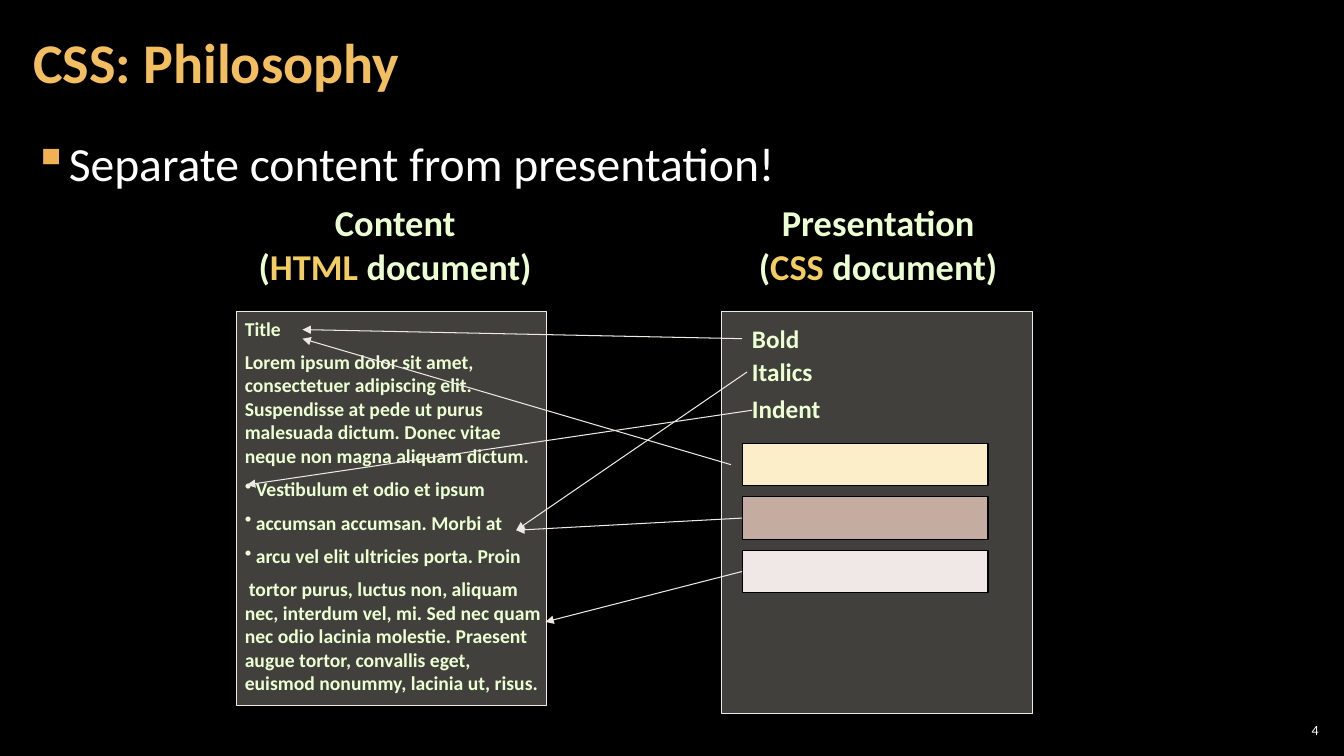
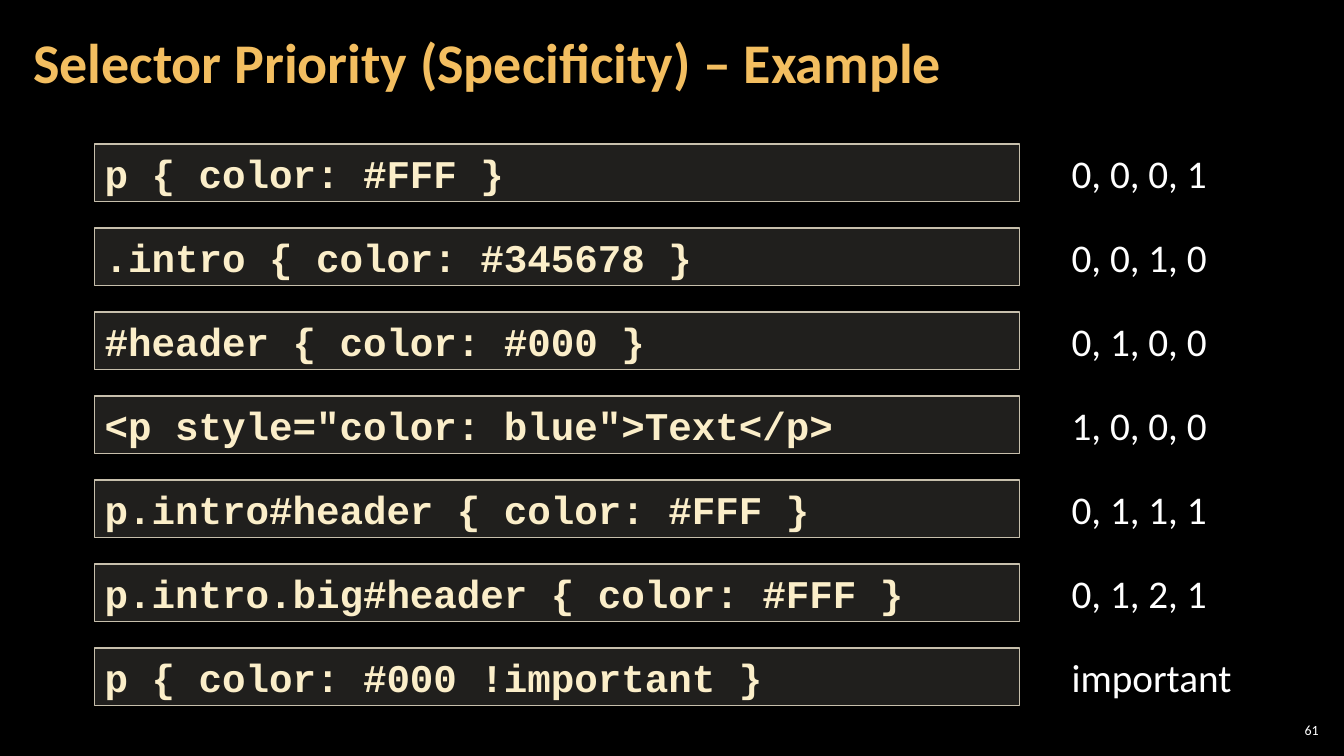
from lxml import etree
from pptx import Presentation
from pptx.dml.color import RGBColor
from pptx.enum.shapes import MSO_CONNECTOR as Conn, MSO_SHAPE as Shape
from pptx.enum.text import MSO_ANCHOR as Anchor, PP_ALIGN as Align
from pptx.oxml.ns import qn
from pptx.util import Inches, Pt

WIDE, HIGH = 13.33, 7.5
BACK, WHITE, GOLD, MARK = "000000", "FFFFFF", "F3BE60", "F2B254"
MINT, AMBER, SAND = "EBFFD2", "F3CD60", "D9D5C7"
EDGE, RIM, CREAM = "ECEAE3", "C7BFAC", "FBEEC9"
SANS, MONO = "Calibri", "Courier New"
THIN = (0.12, 0.04)

POINT = "Separate content from presentation!"
HEADS = [
    (2.45, 2.94, "Content", "HTML"),
    (7.4, 2.62, "Presentation", "CSS"),
]
CARDS = [(2.35, 3.09, 3.07, 3.91), (7.16, 3.09, 3.08, 3.99)]
PAGE = [
    ("Title", "plain"),
    ("Lorem ipsum dolor sit amet, consectetuer adipiscing elit. "
     "Suspendisse at pede ut purus malesuada dictum. "
     "Donec vitae neque non magna aliquam dictum.", "plain"),
    ("Vestibulum et odio et ipsum", "item"),
    ("accumsan accumsan. Morbi at", "item"),
    ("arcu vel elit ultricies porta. Proin", "item"),
    ("tortor purus, luctus non, aliquam nec, interdum vel, mi. "
     "Sed nec quam nec odio lacinia molestie. Praesent augue tortor, "
     "convallis eget, euismod nonummy, lacinia ut, risus.", "inset"),
]
INDENT = {"plain": (0, 0), "item": (0.11, -0.11), "inset": (0, 0.04)}
WORDS = [("Bold", 3.16), ("Italics", 3.49), ("Indent", 3.85)]
TINTS = [CREAM, "C4ADA0", "F0E8E6"]
LINKS = [
    ("Bold", (7.36, 3.36), (3, 3.27)),
    (None, (7.41, 3.69), (5.12, 5.26)),
    (None, (7.46, 4.07), (2.45, 4.81)),
    (TINTS[1], (7.36, 5.14), (5.12, 5.26)),
    (TINTS[2], (7.36, 5.67), (5.41, 6.17)),
    (None, (7.25, 4.61), (3, 3.36)),
]
RULES = [
    ("p { color: #FFF }", "0, 0, 0, 1"),
    (".intro { color: #345678 }", "0, 0, 1, 0"),
    ("#header { color: #000 }", "0, 1, 0, 0"),
    ('<p style="color: blue">Text</p>', "1, 0, 0, 0"),
    ("p.intro#header { color: #FFF }", "0, 1, 1, 1"),
    ("p.intro.big#header { color: #FFF }", "0, 1, 2, 1"),
    ("p { color: #000 !important }", "important"),
]


def color(code):
    return RGBColor.from_string(code)


def style(run, size, code, bold=False, face=SANS):
    font = run.font
    font.size, font.bold, font.name = Pt(size), bold, face
    font.color.rgb = color(code)


def indent(para, left, first, char=None, code=None):
    props = para._p.get_or_add_pPr()
    props.set("marL", str(Inches(left)))
    props.set("indent", str(Inches(first)))
    if code:
        tint = etree.SubElement(props, qn("a:buClr"))
        etree.SubElement(tint, qn("a:srgbClr")).set("val", code)
    if char:
        etree.SubElement(props, qn("a:buChar")).set("char", char)


def write(shape, text, size, code, bold=False, face=SANS,
          align=Align.LEFT, anchor=Anchor.TOP, pad=(0.1, 0.05)):
    frame = shape.text_frame
    frame.text = text
    frame.word_wrap = True
    frame.vertical_anchor = anchor
    frame.margin_left = frame.margin_right = Inches(pad[0])
    frame.margin_top = frame.margin_bottom = Inches(pad[1])
    for para in frame.paragraphs:
        para.alignment = align
        for run in para.runs:
            style(run, size, code, bold, face)
    return frame.paragraphs


def label(slide, area, *args, **opts):
    box = slide.shapes.add_textbox(*map(Inches, area))
    return box, write(box, *args, **opts)


def panel(slide, area, fill, line, width=0.75, alpha=None):
    box = slide.shapes.add_shape(Shape.RECTANGLE, *map(Inches, area))
    box.shadow.inherit = False
    box.fill.solid()
    box.fill.fore_color.rgb = color(fill)
    if alpha:
        tint = box._element.spPr.find(".//" + qn("a:srgbClr"))
        etree.SubElement(tint, qn("a:alpha")).set("val", str(alpha * 1000))
    box.line.color.rgb = color(line)
    box.line.width = Pt(width)
    return box


def arrow(slide, start, end, source=None):
    link = slide.shapes.add_connector(
        Conn.STRAIGHT, *map(Inches, (*start, *end)))
    if source is not None:
        link.begin_connect(source, 1)
    link.line.color.rgb = color(EDGE)
    link.line.width = Pt(0.75)
    tip = etree.SubElement(link.line._get_or_add_ln(), qn("a:tailEnd"))
    tip.set("type", "triangle")
    etree.SubElement(link._element.spPr, qn("a:effectLst"))


def start(deck, title, number):
    slide = deck.slides.add_slide(deck.slide_layouts[6])
    slide.background.fill.solid()
    slide.background.fill.fore_color.rgb = color(BACK)
    label(slide, (12.65, 7.14, 0.47, 0.21), number, 10, WHITE,
          align=Align.RIGHT, anchor=Anchor.MIDDLE, pad=(0.04, 0.04))
    _, paras = label(slide, (0.21, 0.04, 10.47, 1.21), title, 40, GOLD,
                     bold=True, anchor=Anchor.MIDDLE, pad=THIN)
    paras[0].line_spacing = 0.9
    return slide


def ideas(deck):
    slide = start(deck, "CSS: Philosophy", "4")
    _, paras = label(slide, (0.21, 1.26, 12.91, 0.7), POINT, 34, WHITE,
                     pad=THIN)
    paras[0].line_spacing = 1.05
    indent(paras[0], 0.33, -0.33, "▪", MARK)

    for area in CARDS:
        panel(slide, area, SAND, EDGE, alpha=30)
    text = "\n".join(line for line, _ in PAGE)
    _, paras = label(slide, (2.33, 3.09, 3.17, 3.99), text, 14, MINT,
                     bold=True)
    for i, (para, (_, kind)) in enumerate(zip(paras, PAGE)):
        if i:
            para.space_before = Pt(7)
        indent(para, *INDENT[kind], "•" if kind == "item" else None)

    spots = {}
    for i, tint in enumerate(TINTS):
        area = (7.36, 4.4 + 0.53 * i, 2.44, 0.42)
        spots[tint] = panel(slide, area, tint, BACK)
    for word, top in WORDS:
        spots[word], _ = label(slide, (7.36, top, 1, 0.4), word, 18, MINT,
                               bold=True)
    for left, width, name, lang in HEADS:
        _, paras = label(slide, (left, 1.94, width, 0.98), name + "\n(",
                         26, MINT, bold=True, align=Align.CENTER)
        for part, code in ((lang, AMBER), (" document)", MINT)):
            run = paras[1].add_run()
            run.text = part
            style(run, 26, code, True)
    for key, begin, end in LINKS:
        arrow(slide, begin, end, spots.get(key))


def ranks(deck):
    slide = start(deck, "Selector Priority (Specificity) – Example", "61")
    step = HIGH / 9
    for i, (rule, rank) in enumerate(RULES):
        top = 1.43 + step * i
        box = panel(slide, (0.94, top, 9.17, 0.57), SAND, RIM, 1, 15)
        write(box, rule, 28, CREAM, True, MONO)
        label(slide, (10.53, top, 1.9, 0.57), rank, 28, WHITE)


def main():
    deck = Presentation()
    deck.slide_width, deck.slide_height = Inches(WIDE), Inches(HIGH)
    ideas(deck)
    ranks(deck)
    deck.save("out.pptx")


if __name__ == "__main__":
    main()
